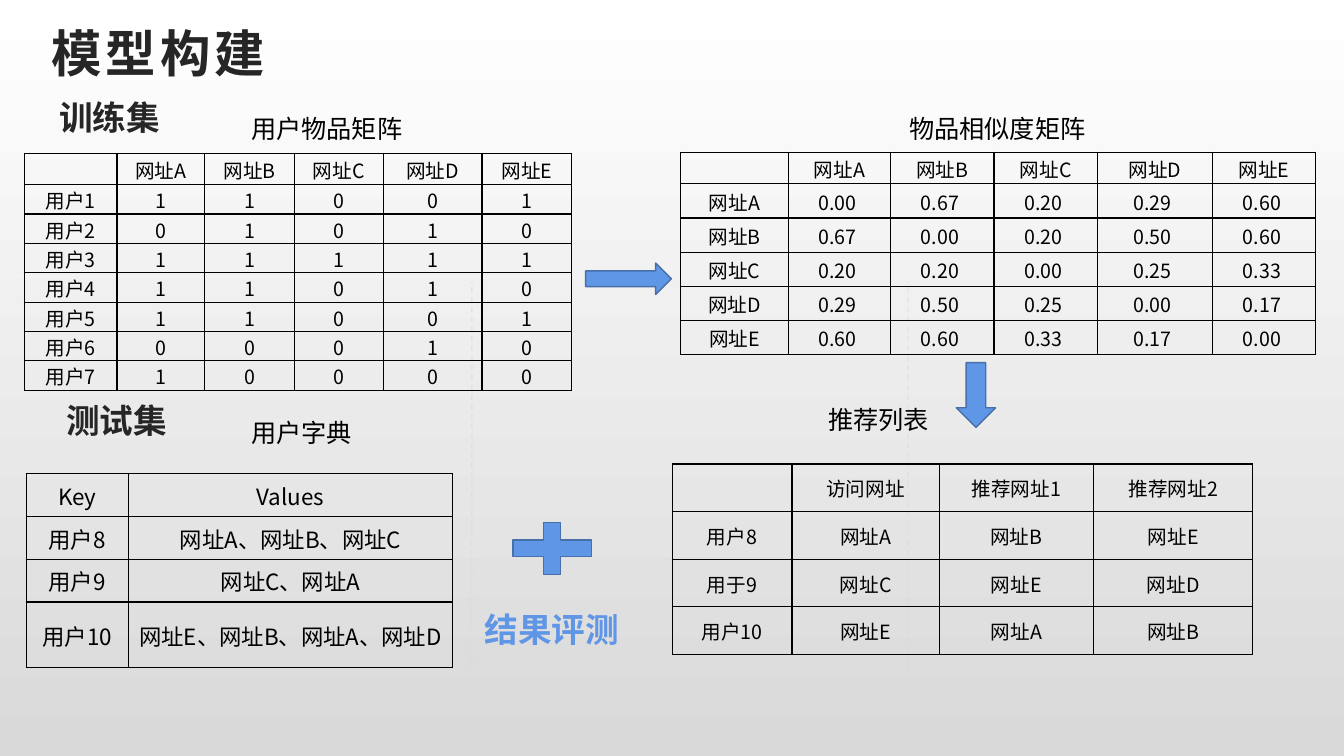
from lxml.etree import SubElement as Sub
from pptx import Presentation
from pptx.dml.color import RGBColor
from pptx.enum.dml import MSO_LINE as Dash
from pptx.enum.shapes import MSO_CONNECTOR as Link, MSO_SHAPE as Kind
from pptx.enum.text import MSO_ANCHOR as Anchor, MSO_AUTO_SIZE as Fit, PP_ALIGN as Align
from pptx.oxml.ns import qn
from pptx.util import Cm, Pt

BLACK = RGBColor(0x00, 0x00, 0x00)
DARK = RGBColor(0x26, 0x26, 0x26)
BLUE = RGBColor(0x60, 0x96, 0xE6)
EDGE = RGBColor(0x47, 0x6F, 0xAA)
GREY = RGBColor(0xD9, 0xD9, 0xD9)
WHITE = RGBColor(0xFF, 0xFF, 0xFF)
HAN = "Noto Sans CJK SC"
SITES = [f"网址{c}" for c in "ABCDE"]
VISITS = ["11001", "01010", "11111", "11010", "11001", "00010", "10000"]
SCORES = [
    [0.00, 0.67, 0.20, 0.29, 0.60],
    [0.67, 0.00, 0.20, 0.50, 0.60],
    [0.20, 0.20, 0.00, 0.25, 0.33],
    [0.29, 0.50, 0.25, 0.00, 0.17],
    [0.60, 0.60, 0.33, 0.17, 0.00],
]
USERS = [["", *SITES]] + [[f"用户{i}", *row] for i, row in enumerate(VISITS, 1)]
LIKES = [["", *SITES]] + [
    [site, *(f"{v:.2f} " for v in row)] for site, row in zip(SITES, SCORES)
]
LOOKUP = [
    ["Key", "Values"],
    ["用户8", "网址A、网址B、网址C"],
    ["用户9", "网址C、网址A"],
    ["用户10", "网址E、网址B、网址A、网址D"],
]
PICKS = [
    ["", "访问网址", "推荐网址1", "推荐网址2"],
    ["用户8", "网址A", "网址B", "网址E"],
    ["用于9", "网址C", "网址E", "网址D"],
    ["用户10", "网址E", "网址A", "网址B"],
]


def write(frame, text, size=18, color=BLACK, bold=False, font="Arial",
          align=Align.LEFT, gap=0):
    """Put one formatted run into a text frame."""
    par = frame.paragraphs[0]
    par.alignment = align
    run = par.add_run()
    run.text = text
    run.font.size = Pt(size)
    run.font.bold = bold
    run.font.color.rgb = color
    run.font.name = font
    props = run.font._element
    Sub(props, qn("a:ea")).set("typeface", HAN)
    if gap:
        props.set("spc", str(gap * 100))


def label(slide, box, text, wrap=False, **form):
    """Add a text box."""
    frame = slide.shapes.add_textbox(*map(Cm, box)).text_frame
    frame.word_wrap = wrap
    frame.auto_size = Fit.NONE if wrap else Fit.SHAPE_TO_FIT_TEXT
    write(frame, text, **form)


def frame_cell(cell):
    """Give a cell thin black borders, small margins and no fill."""
    props = cell._tc.get_or_add_tcPr()
    for side in "LRTB":
        line = Sub(props, qn(f"a:ln{side}"), w=str(Pt(1)))
        Sub(Sub(line, qn("a:solidFill")), qn("a:srgbClr"), val=str(BLACK))
    cell.fill.background()
    cell.margin_left = cell.margin_right = cell.margin_top = Cm(0.03)
    cell.margin_bottom = 0
    cell.vertical_anchor = Anchor.MIDDLE


def grid(slide, x, y, rows, wide, tall, size):
    """Add a ruled table with the given column widths and row heights."""
    table = slide.shapes.add_table(
        len(rows), len(wide), Cm(x), Cm(y), Cm(sum(wide)), Cm(sum(tall))
    ).table
    table.first_row = table.horz_banding = False
    for col, w in zip(table.columns, wide):
        col.width = Cm(w)
    for r, (row, h) in enumerate(zip(rows, tall)):
        table.rows[r].height = Cm(h)
        for c, text in enumerate(row):
            cell = table.cell(r, c)
            frame_cell(cell)
            write(cell.text_frame, text, size=size, font=HAN, align=Align.CENTER)


def title(slide, box):
    """Place and format the slide title."""
    head = slide.shapes.title
    head.left, head.top, head.width, head.height = map(Cm, box)
    head.text_frame.vertical_anchor = Anchor.MIDDLE
    write(head.text_frame, "模型构建", size=36, color=DARK, bold=True, gap=3)


def train(slide, x, y):
    """Draw the training set: heading, caption and user matrix."""
    label(slide, (x + 0.63, y, 8.46, 1.12), "训练集", wrap=True,
          size=24, color=DARK, bold=True)
    label(slide, (x + 5.47, y + 0.41, 4.32, 1.02), "用户物品矩阵")
    grid(slide, x, y + 1.55, USERS, [2.34, 2.21, 2.26, 2.24, 2.49, 2.26],
         [0.74] * 8, 14)


def test(slide, x, y):
    """Draw the test set: heading, caption and user lookup."""
    label(slide, (x + 0.76, y, 8.46, 1.12), "测试集", wrap=True,
          size=24, color=DARK, bold=True)
    label(slide, (x + 5.42, y + 0.43, 3.05, 1.02), "用户字典")
    grid(slide, x, y + 1.97, LOOKUP, [2.57, 8.18], [1.08] * 3 + [1.65], 16)


def likeness(slide, x, y):
    """Draw the similarity matrix with its caption."""
    label(slide, (x + 5.51, y, 4.95, 1.02), "物品相似度矩阵")
    grid(slide, x, y + 1.12, LIKES, [2.72, 2.57, 2.61, 2.61, 2.89, 2.61],
         [0.76] + [0.86] * 5, 14)


def advice(slide, x, y):
    """Draw the recommendation list with its caption."""
    label(slide, (x + 3.68, y, 3.05, 1.02), "推荐列表")
    grid(slide, x, y + 1.63, PICKS, [3.02, 3.71, 3.89, 4.01], [1.2] * 4, 14)


def sign(slide, kind, box):
    """Add a blue arrow or plus."""
    shape = slide.shapes.add_shape(kind, *map(Cm, box))
    shape.shadow.inherit = False
    shape.fill.solid()
    shape.fill.fore_color.rgb = BLUE
    shape.line.color.rgb = EDGE
    shape.line.width = Pt(1)


def guide(slide, x, top, end):
    """Add a faint dashed upright line."""
    link = slide.shapes.add_connector(Link.STRAIGHT, Cm(x), Cm(end), Cm(x), Cm(top))
    link.line.color.rgb = GREY
    link.line.width = Pt(1)
    link.line.dash_style = Dash.DASH
    tint = next(link._element.iter(qn("a:srgbClr")))
    Sub(tint, qn("a:alpha"), val="50000")
    Sub(link._element.spPr, qn("a:effectLst"))


def paint(slide):
    """Fill the background from white to grey."""
    fill = slide.background.fill
    fill.gradient()
    fill.gradient_angle = 270
    for stop, color, at in zip(fill.gradient_stops, (WHITE, GREY), (0, 1)):
        stop.color.rgb = color
        stop.position = at


def main():
    """Build and save the slide."""
    deck = Presentation()
    deck.slide_width, deck.slide_height = Cm(33.87), Cm(19.05)
    slide = deck.slides.add_slide(deck.slide_layouts[5])
    paint(slide)
    for x in (11.89, 22.89):
        guide(slide, x, 7.09, 18.16)
    title(slide, (1.04, 0.33, 30.48, 1.96))
    train(slide, 0.61, 2.31)
    test(slide, 0.66, 9.96)
    likeness(slide, 17.15, 2.72)
    advice(slide, 16.94, 10.06)
    sign(slide, Kind.RIGHT_ARROW, (14.76, 6.63, 2.16, 0.79))
    sign(slide, Kind.DOWN_ARROW, (24.1, 9.14, 0.99, 1.63))
    sign(slide, Kind.MATH_PLUS, (12.57, 12.93, 2.69, 1.78))
    label(slide, (11.96, 15.21, 3.89, 1.27), "结果评测",
          size=24, color=BLUE, bold=True, align=Align.CENTER)
    deck.save("out.pptx")


if __name__ == "__main__":
    main()
